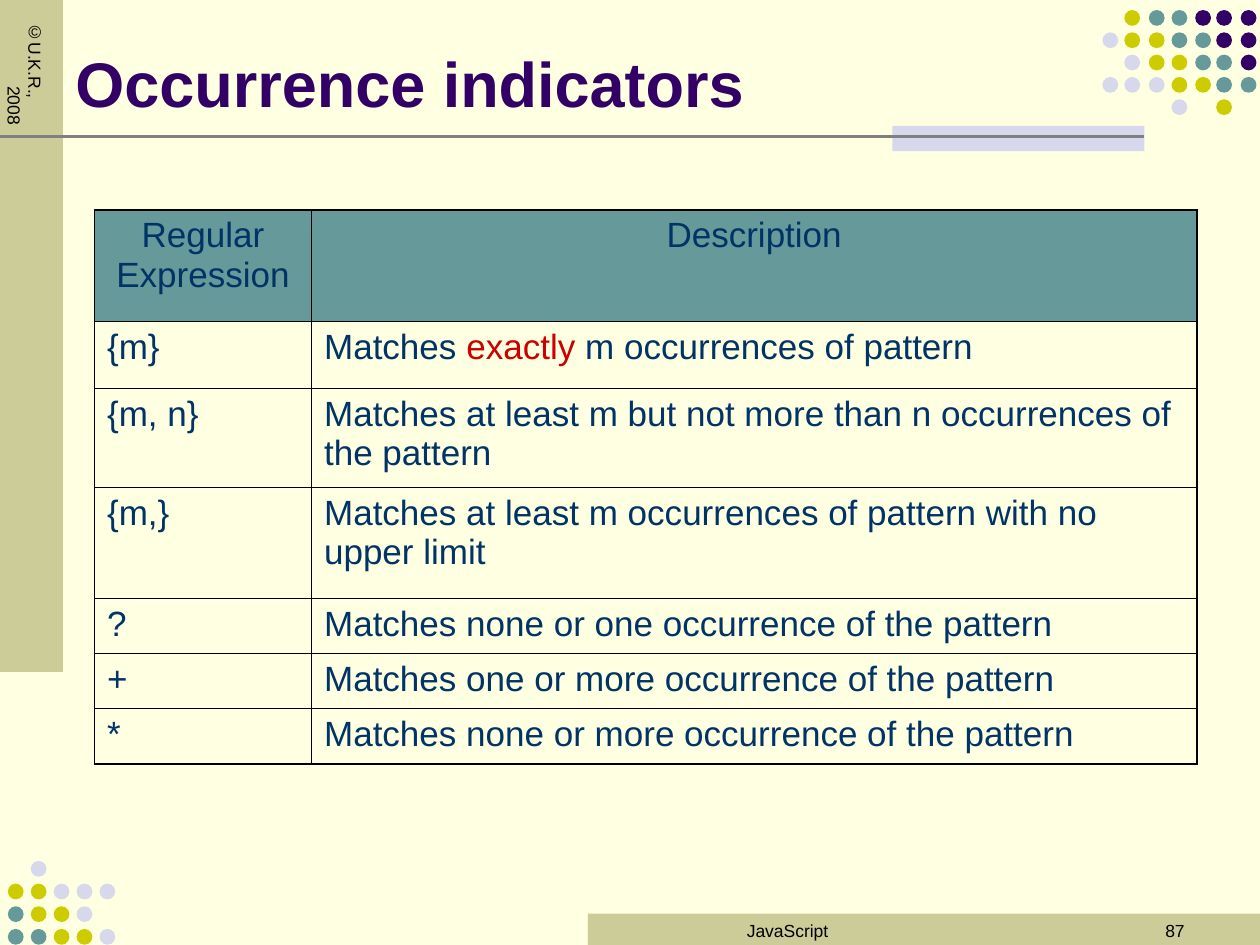
from dataclasses import dataclass

from lxml.etree import SubElement
from pptx import Presentation
from pptx.dml.color import RGBColor
from pptx.enum.shapes import MSO_CONNECTOR, MSO_SHAPE
from pptx.enum.text import MSO_ANCHOR, PP_ALIGN
from pptx.oxml import parse_xml
from pptx.oxml.ns import nsdecls, qn
from pptx.util import Pt


@dataclass(frozen=True)
class Theme:
    font: str = "Arial"
    page: str = "FFFFE1"
    band: str = "CCCC99"
    lavender: str = "D8D8EC"
    teal: str = "669999"
    lime: str = "CCCC00"
    purple: str = "330066"
    rule: str = "808080"
    ink: str = "000000"
    body: str = "003366"
    accent: str = "CC0000"
    title_size: int = 36
    body_size: int = 20
    small_size: int = 10


T = Theme()

TITLE = "Occurrence indicators"
COPYRIGHT = "©U.K.R., 2008"
FOOTER = "JavaScript"
PAGE_NUMBER = "87"

# Each cell is a list of (text, colour) runs; plain strings use the body colour.
ROWS = [
    ("Regular Expression", "Description"),
    ("{m}", [("Matches ", T.body), ("exactly", T.accent),
             (" m occurrences of pattern", T.body)]),
    ("{m, n}", "Matches at least m but not more than n occurrences of the pattern"),
    ("{m,}", "Matches at least m occurrences of pattern with no upper limit"),
    ("?", "Matches none or one occurrence of the pattern"),
    ("+", "Matches one or more occurrence of the pattern"),
    ("*", "Matches none or more occurrence of the pattern"),
]
COL_WIDTHS = [124, 506]
ROW_HEIGHTS = [63.5, 38.5, 56.5, 63.5, 31.5, 31.5, 31.5]
THICK, THIN = 1.08, 0.45

# One letter per dot: P purple, T teal, Y lime, L lavender, . no dot
DOT_COLORS = {"P": T.purple, "T": T.teal, "Y": T.lime, "L": T.lavender}
TOP_DOTS = [".YTTPPP", "LYYTTPP", ".LYYTTP", "LLLYYTT", "...L.Y."]
TOP_DOT_LEFTS = [630, 642.5, 656.5, 669.5, 683, 695, 709]
BOTTOM_DOTS = [".L...", "YYLLL", "TYYL.", "TTYYL"]
BOTTOM_DOT_LEFTS = [4.5 + 13.1 * i for i in range(5)]
DOT_SIZE = 9


def rgb(color):
    return RGBColor.from_string(color)


def add_solid(shapes, kind, x, y, w, h, color):
    sp = shapes.add_shape(kind, Pt(x), Pt(y), Pt(w), Pt(h))
    sp.shadow.inherit = False
    sp.fill.solid()
    sp.fill.fore_color.rgb = rgb(color)
    sp.line.fill.background()


def add_dots(slide, rows, lefts, top, pitch):
    group = slide.shapes.add_group_shape()
    for j, row in enumerate(rows):
        for x, key in zip(lefts, row):
            if key in DOT_COLORS:
                add_solid(group.shapes, MSO_SHAPE.OVAL, x, top + j * pitch,
                          DOT_SIZE, DOT_SIZE, DOT_COLORS[key])


def write(p, runs, size, color, align=PP_ALIGN.LEFT, bold=False):
    p.alignment = align
    for text, run_color in [(runs, color)] if isinstance(runs, str) else runs:
        r = p.add_run()
        r.text = text
        r.font.name = T.font
        r.font.size = Pt(size)
        r.font.bold = bold
        r.font.color.rgb = rgb(run_color)


def add_text(slide, x, y, w, h, text, size, color, **style):
    tf = slide.shapes.add_textbox(Pt(x), Pt(y), Pt(w), Pt(h)).text_frame
    tf.word_wrap = True
    write(tf.paragraphs[0], text, size, color, **style)
    return tf


def add_copyright(slide):
    tf = add_text(slide, 18, 6, 12, 78, COPYRIGHT, T.small_size, T.ink)
    tf.margin_left = tf.margin_right = Pt(3.6)
    tf.margin_top = tf.margin_bottom = Pt(7.2)
    body = tf.paragraphs[0].runs[0].font._element.getparent().getparent().getparent()
    body.find(qn("a:bodyPr")).set("vert", "eaVert")
    pPr = body.find(qn("a:p")).get_or_add_pPr()
    pPr.set("marL", str(Pt(36)))
    pPr.set("indent", str(Pt(-36)))


def add_rule(slide, x1, x2, y):
    line = slide.shapes.add_connector(MSO_CONNECTOR.STRAIGHT, Pt(x1), Pt(y), Pt(x2), Pt(y))
    line.line.color.rgb = rgb(T.rule)
    line.line.width = Pt(1.5)
    SubElement(line._element.spPr, qn("a:effectLst"))


def set_borders(cell, widths):
    """Set the left, right, top and bottom borders, given in that order."""
    tcPr = cell._tc.get_or_add_tcPr()
    for i, (side, width) in enumerate(zip("LRTB", widths)):
        tcPr.insert(i, parse_xml(
            f'<a:ln{side} {nsdecls("a")} w="{Pt(width)}"><a:solidFill>'
            f'<a:srgbClr val="{T.ink}"/></a:solidFill></a:ln{side}>'))


def add_pattern_table(slide):
    table = slide.shapes.add_table(len(ROWS), len(COL_WIDTHS), Pt(54), Pt(120),
                                   Pt(sum(COL_WIDTHS)), Pt(sum(ROW_HEIGHTS))).table
    table.first_row = table.horz_banding = False
    for col, width in zip(table.columns, COL_WIDTHS):
        col.width = Pt(width)
    last_row, last_col = len(ROWS) - 1, len(COL_WIDTHS) - 1
    for i, row in enumerate(ROWS):
        table.rows[i].height = Pt(ROW_HEIGHTS[i])
        header = i == 0
        for j, content in enumerate(row):
            cell = table.cell(i, j)
            if header:
                cell.fill.solid()
                cell.fill.fore_color.rgb = rgb(T.teal)
            else:
                cell.fill.background()
            outer = (j == 0, j == last_col, header, i == last_row)
            set_borders(cell, [THICK if edge else THIN for edge in outer])
            write(cell.text_frame.paragraphs[0], content, T.body_size, T.body,
                  align=PP_ALIGN.CENTER if header else PP_ALIGN.LEFT)


def main():
    prs = Presentation()
    prs.slide_width, prs.slide_height = Pt(720), Pt(540)
    s = prs.slides.add_slide(prs.slide_layouts[6])
    s.background.fill.solid()
    s.background.fill.fore_color.rgb = rgb(T.page)

    add_solid(s.shapes, MSO_SHAPE.RECTANGLE, 336, 522, 384, 18, T.band)
    add_dots(s, TOP_DOTS, TOP_DOT_LEFTS, 5.75, 12.75)
    add_solid(s.shapes, MSO_SHAPE.RECTANGLE, 0, 0, 36, 384, T.band)
    add_solid(s.shapes, MSO_SHAPE.RECTANGLE, 510, 72, 144, 14.4, T.lavender)
    add_rule(s, 0, 654, 78)
    add_copyright(s)
    add_dots(s, BOTTOM_DOTS, BOTTOM_DOT_LEFTS, 492, 12.95)

    add_text(s, 336, 522, 228, 36, FOOTER, T.small_size, T.ink, align=PP_ALIGN.CENTER)
    add_text(s, 516, 522, 168, 36, PAGE_NUMBER, T.small_size, T.ink, align=PP_ALIGN.RIGHT)
    title = add_text(s, 36, 9, 594, 63, TITLE, T.title_size, T.purple, bold=True)
    title.vertical_anchor = MSO_ANCHOR.BOTTOM
    add_pattern_table(s)
    prs.save("out.pptx")


if __name__ == "__main__":
    main()
